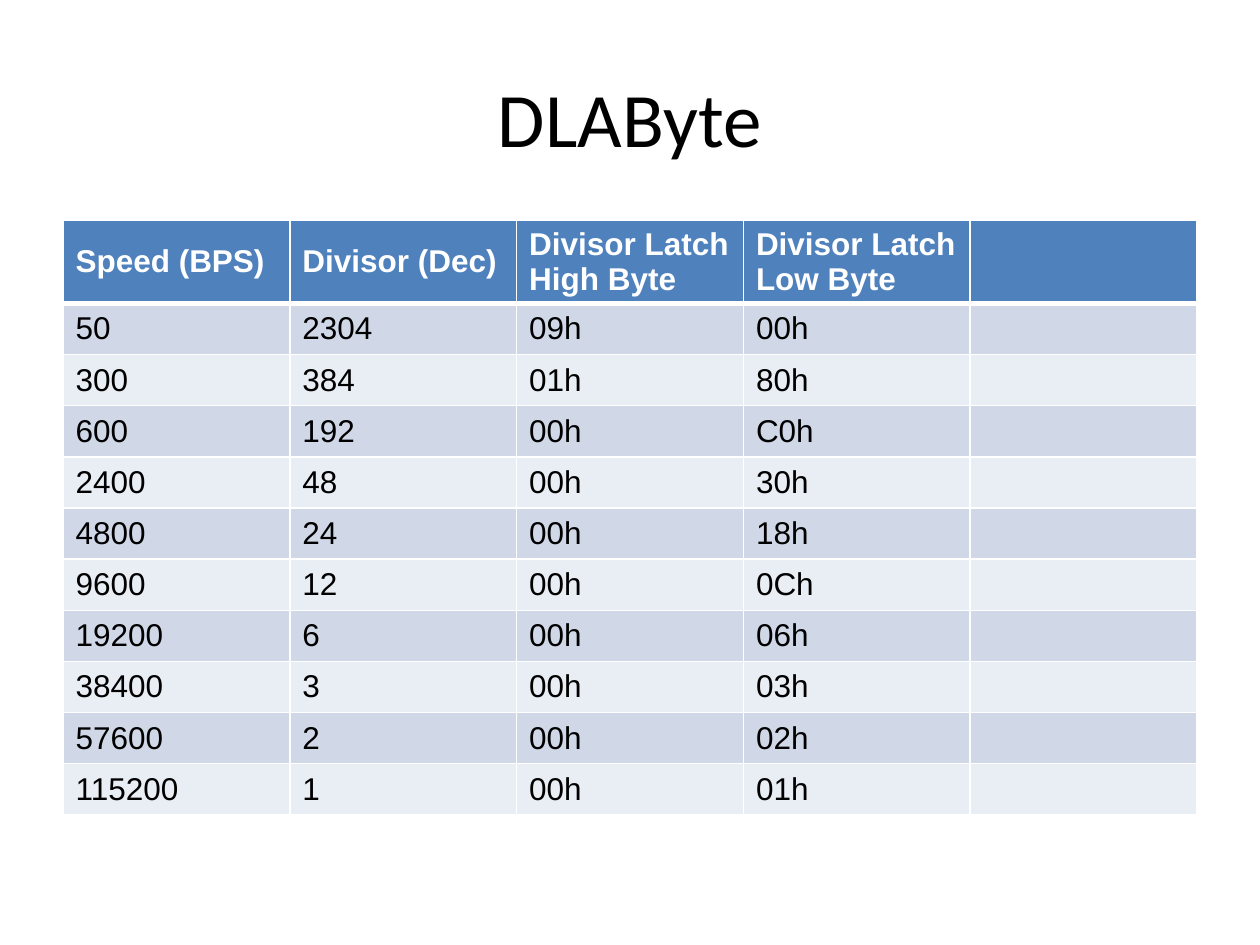
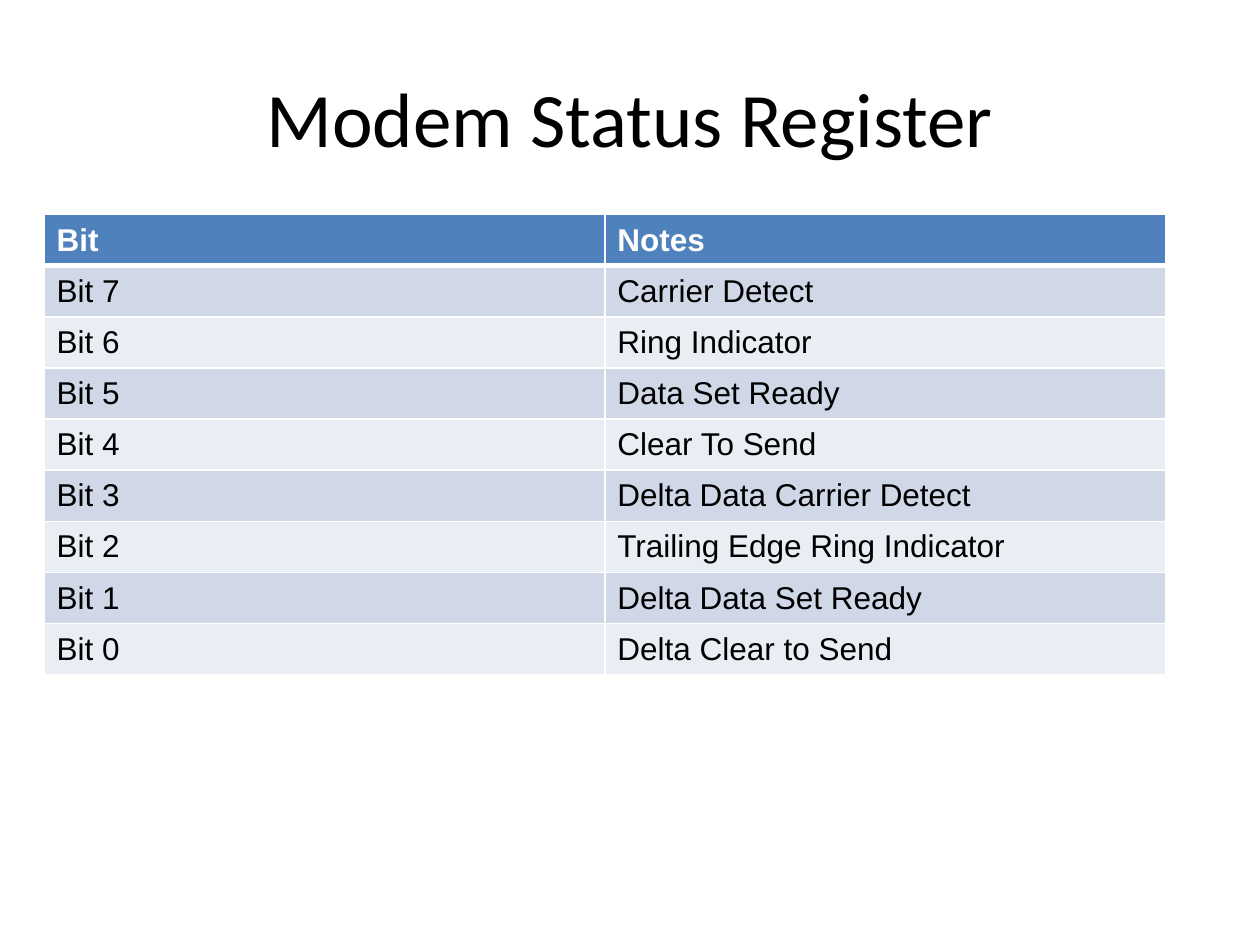
from lxml.etree import SubElement
from pptx import Presentation
from pptx.dml.color import RGBColor
from pptx.enum.text import MSO_ANCHOR, PP_ALIGN
from pptx.oxml.ns import qn
from pptx.util import Inches, Pt

COLORS = {
    "header": "4F81BD",
    "odd_row": "D0D8E8",
    "even_row": "E9EDF4",
    "rule": "FFFFFF",
    "header_text": "FFFFFF",
    "text": "000000",
}
SLIDE_WIDTH, SLIDE_HEIGHT = Inches(10), Inches(7.5)
BODY_ROW = Inches(0.406)

REGISTERS = [
    {
        "title": "DLAByte",
        "left": 0.05, "top": 0.233, "width": 0.9, "header_height": Inches(0.65),
        "rows": [
            ("Speed (BPS)", "Divisor (Dec)", "Divisor Latch High Byte", "Divisor Latch Low Byte", ""),
            ("50", "2304", "09h", "00h", ""),
            ("300", "384", "01h", "80h", ""),
            ("600", "192", "00h", "C0h", ""),
            ("2400", "48", "00h", "30h", ""),
            ("4800", "24", "00h", "18h", ""),
            ("9600", "12", "00h", "0Ch", ""),
            ("19200", "6", "00h", "06h", ""),
            ("38400", "3", "00h", "03h", ""),
            ("57600", "2", "00h", "02h", ""),
            ("115200", "1", "00h", "01h", ""),
        ],
    },
    {
        "title": "Modem Status Register",
        "left": 0.035, "top": 0.227, "width": 0.89, "header_height": BODY_ROW,
        "rows": [
            ("Bit", "Notes"),
            ("Bit 7", "Carrier Detect"),
            ("Bit 6", "Ring Indicator"),
            ("Bit 5", "Data Set Ready"),
            ("Bit 4", "Clear To Send"),
            ("Bit 3", "Delta Data Carrier Detect"),
            ("Bit 2", "Trailing Edge Ring Indicator"),
            ("Bit 1", "Delta Data Set Ready"),
            ("Bit 0", "Delta Clear to Send"),
        ],
    },
]


def write(frame, text, size=18, font="Arial", color="text", bold=False, align=PP_ALIGN.LEFT):
    paragraph = frame.paragraphs[0]
    paragraph.alignment = align
    style = paragraph.font
    if text:
        run = paragraph.add_run()
        run.text = text
        style = run.font
    style.size = Pt(size)
    style.name = font
    style.bold = bold
    style.color.rgb = RGBColor.from_string(COLORS[color])


def rule_cell(cell, **points):
    properties = cell._tc.get_or_add_tcPr()
    for side in ("L", "R", "T", "B"):
        line = SubElement(properties, qn(f"a:ln{side}"), w=str(Pt(points.get(side, 1))))
        fill = SubElement(line, qn("a:solidFill"))
        SubElement(fill, qn("a:srgbClr"), val=COLORS["rule"])


deck = Presentation()
deck.slide_width, deck.slide_height = SLIDE_WIDTH, SLIDE_HEIGHT

for register in REGISTERS:
    slide = deck.slides.add_slide(deck.slide_layouts[5])
    heading = slide.shapes.title
    heading.left, heading.top = int(SLIDE_WIDTH * 0.05), int(SLIDE_HEIGHT * 0.04)
    heading.width, heading.height = int(SLIDE_WIDTH * 0.9), Inches(1.25)
    heading.text_frame.vertical_anchor = MSO_ANCHOR.MIDDLE
    write(heading.text_frame, register["title"], size=44, font="Calibri", align=PP_ALIGN.CENTER)

    rows = register["rows"]
    grid = slide.shapes.add_table(
        len(rows), len(rows[0]),
        int(SLIDE_WIDTH * register["left"]), int(SLIDE_HEIGHT * register["top"]),
        int(SLIDE_WIDTH * register["width"]),
        register["header_height"] + BODY_ROW * (len(rows) - 1),
    ).table

    for row_index, values in enumerate(rows):
        is_header = row_index == 0
        grid.rows[row_index].height = register["header_height"] if is_header else BODY_ROW
        band = "header" if is_header else "odd_row" if row_index % 2 else "even_row"
        for column_index, value in enumerate(values):
            cell = grid.cell(row_index, column_index)
            rule_cell(cell, B=3 if is_header else 1, T=3 if row_index == 1 else 1)
            cell.fill.solid()
            cell.fill.fore_color.rgb = RGBColor.from_string(COLORS[band])
            cell.vertical_anchor = MSO_ANCHOR.MIDDLE
            write(cell.text_frame, value, bold=is_header, color="header_text" if is_header else "text")

deck.save("out.pptx")
